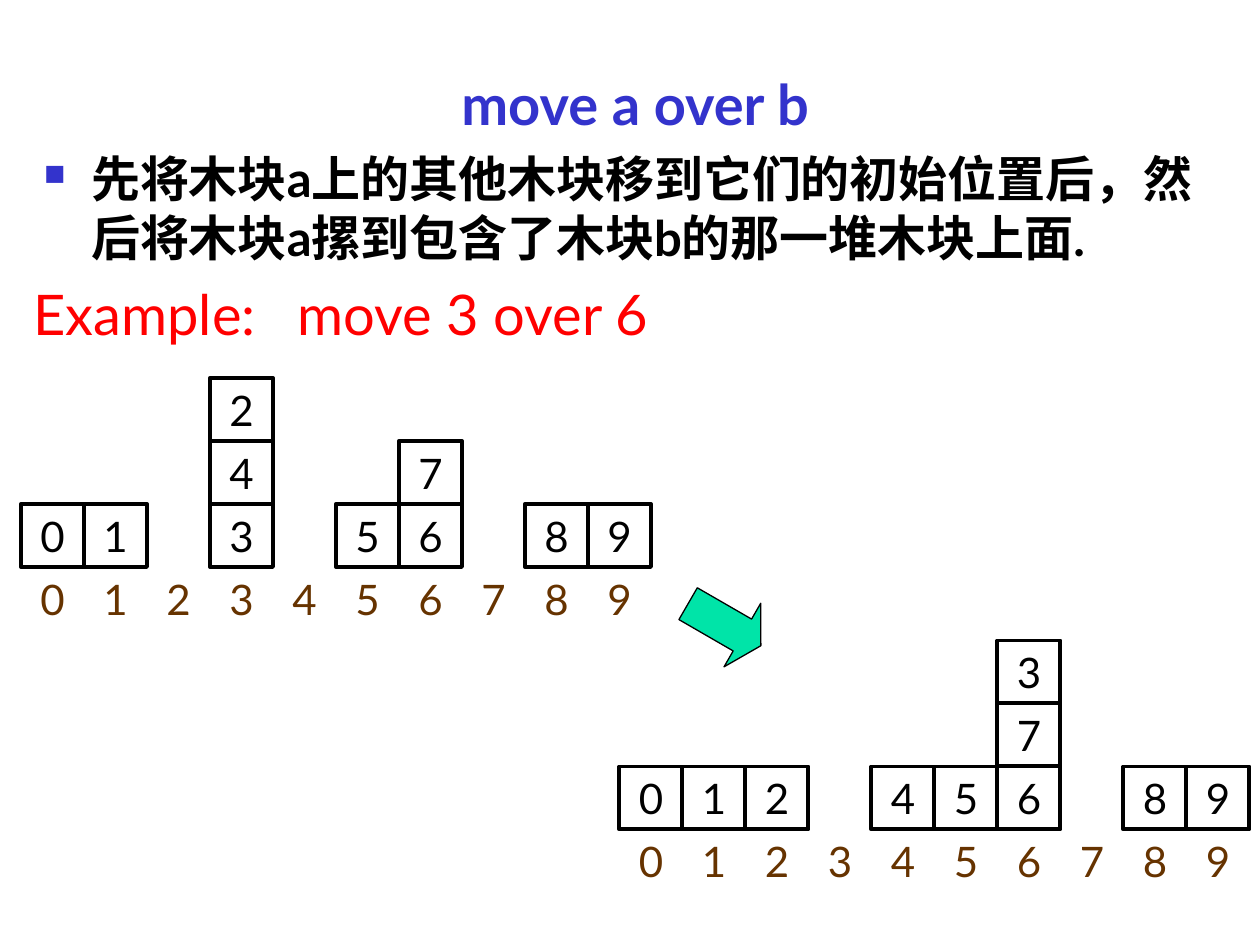
from dataclasses import dataclass

from lxml.etree import SubElement
from pptx import Presentation
from pptx.dml.color import RGBColor
from pptx.enum.shapes import MSO_SHAPE
from pptx.enum.text import MSO_ANCHOR, MSO_AUTO_SIZE, PP_ALIGN
from pptx.oxml.ns import qn
from pptx.slide import Slide
from pptx.util import Pt

FONT = "Lato"
BLUE = RGBColor(0x33, 0x33, 0xCC)
BLACK = RGBColor(0x00, 0x00, 0x00)
RED = RGBColor(0xFF, 0x00, 0x00)
BROWN = RGBColor(0x66, 0x33, 0x00)
GREEN = RGBColor(0x00, 0xE4, 0xA8)

CELL = 36  # side of a block and width of a position
POSITIONS = 10


@dataclass
class BlockWorld:
    left: float
    base_top: float  # top of the lowest row of blocks
    stacks: dict[int, list[int]]  # position -> blocks from bottom to top


BEFORE = BlockWorld(12, 288, {0: [0], 1: [1], 3: [3, 4, 2], 5: [5],
                              6: [6, 7], 8: [8], 9: [9]})
AFTER = BlockWorld(354, 438, {0: [0], 1: [1], 2: [2], 4: [4], 5: [5],
                              6: [6, 7, 3], 8: [8], 9: [9]})


def style(paragraph, size: float, color: RGBColor, bold: bool = False) -> None:
    font = paragraph.font
    font.name, font.size, font.bold = FONT, Pt(size), bold
    font.color.rgb = color


def write_number(shape, number: int, color: RGBColor) -> None:
    frame = shape.text_frame
    frame.word_wrap = False
    frame.vertical_anchor = MSO_ANCHOR.MIDDLE
    paragraph = frame.paragraphs[0]
    paragraph.text = str(number)
    paragraph.alignment = PP_ALIGN.CENTER
    style(paragraph, 24, color)


def draw_block(slide: Slide, left: float, top: float, number: int) -> None:
    block = slide.shapes.add_shape(MSO_SHAPE.RECTANGLE, Pt(left), Pt(top), Pt(CELL), Pt(CELL))
    block.shadow.inherit = False
    block.fill.background()
    block.line.color.rgb = BLACK
    block.line.width = Pt(2.25)
    write_number(block, number, BLACK)


def draw_world(slide: Slide, world: BlockWorld) -> None:
    for position, stack in world.stacks.items():
        for level, number in enumerate(stack):
            draw_block(slide, world.left + position * CELL,
                       world.base_top - level * CELL, number)
    for position in range(POSITIONS):
        label = slide.shapes.add_textbox(Pt(world.left + position * CELL),
                                         Pt(world.base_top + CELL), Pt(CELL), Pt(CELL))
        write_number(label, position, BROWN)


def add_bullet(paragraph) -> None:
    properties = paragraph._p.get_or_add_pPr()
    properties.set("marL", str(Pt(27)))
    properties.set("indent", str(-Pt(27)))
    bullet_color = SubElement(properties, qn("a:buClr"))
    SubElement(bullet_color, qn("a:srgbClr"), val=str(BLUE))
    SubElement(properties, qn("a:buSzPct"), val="60000")
    SubElement(properties, qn("a:buChar"), char="■")


def add_tab_stop(paragraph, position: float) -> None:
    tabs = SubElement(paragraph._p.get_or_add_pPr(), qn("a:tabLst"))
    SubElement(tabs, qn("a:tab"), pos=str(Pt(position)), algn="l")


def main() -> None:
    presentation = Presentation()
    presentation.slide_width, presentation.slide_height = Pt(720), Pt(540)
    slide = presentation.slides.add_slide(presentation.slide_layouts[5])

    # Title
    title = slide.shapes.title
    title.left, title.top, title.width, title.height = Pt(18), Pt(36), Pt(690), Pt(45)
    title.text_frame.auto_size = MSO_AUTO_SIZE.NONE
    title.text_frame.vertical_anchor = MSO_ANCHOR.TOP
    heading = title.text_frame.paragraphs[0]
    heading.text = "move a over b"
    heading.alignment = PP_ALIGN.CENTER
    style(heading, 32, BLUE, bold=True)

    # Rule of the command
    rule_box = slide.shapes.add_textbox(Pt(18), Pt(81.5), Pt(690), Pt(74))
    rule_box.text_frame.word_wrap = True
    rule = rule_box.text_frame.paragraphs[0]
    rule.text = "先将木块a上的其他木块移到它们的初始位置后，然后将木块a摞到包含了木块b的那一堆木块上面."
    add_bullet(rule)
    style(rule, 28, BLACK, bold=True)

    # Example command
    example_box = slide.shapes.add_textbox(Pt(12), Pt(156), Pt(576), Pt(54))
    example_box.text_frame.word_wrap = True
    example = example_box.text_frame.paragraphs[0]
    example.text = "Example:\tmove 3 over 6"
    add_tab_stop(example, 151)
    style(example, 32, RED)

    # Blocks before and after the move, with an arrow between them
    draw_world(slide, BEFORE)
    arrow = slide.shapes.add_shape(MSO_SHAPE.RIGHT_ARROW, Pt(390), Pt(336), Pt(48), Pt(42))
    arrow.adjustments[0], arrow.adjustments[1] = 0.5, 0.29
    arrow.rotation = 30
    arrow.shadow.inherit = False
    arrow.fill.solid()
    arrow.fill.fore_color.rgb = GREEN
    arrow.line.color.rgb = BLACK
    arrow.line.width = Pt(0.75)
    draw_world(slide, AFTER)

    presentation.save("out.pptx")


if __name__ == "__main__":
    main()
